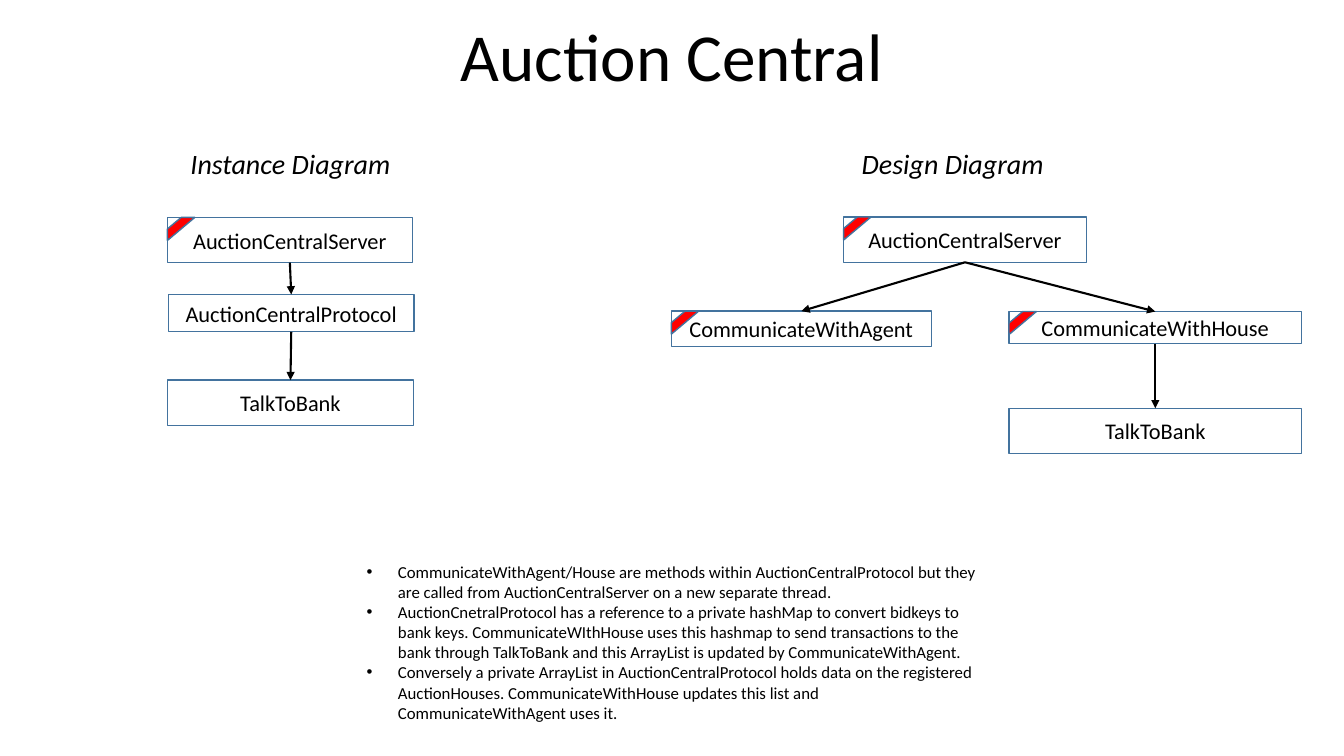
from lxml.etree import SubElement
from pptx import Presentation
from pptx.dml.color import RGBColor
from pptx.enum.shapes import MSO_CONNECTOR, MSO_SHAPE
from pptx.enum.text import MSO_ANCHOR as Anchor, MSO_AUTO_SIZE as AutoSize, PP_ALIGN as Align
from pptx.oxml.ns import qn
from pptx.util import Cm, Pt

BLACK, BLUE, RED = "000000", "43739E", "FF0000"
BOTTOM, TOP = 2, 0
NOTES = [
    "CommunicateWithAgent/House are methods within AuctionCentralProtocol but they are called "
    "from AuctionCentralServer on a new separate thread.",
    "AuctionCnetralProtocol has a reference to a private hashMap to convert bidkeys to bank keys. "
    "CommunicateWIthHouse uses this hashmap to send transactions to the bank through TalkToBank "
    "and this ArrayList is updated by CommunicateWithAgent.",
    "Conversely a private ArrayList in AuctionCentralProtocol holds data on the registered "
    "AuctionHouses. CommunicateWithHouse updates this list and CommunicateWithAgent uses it.",
]
INSTANCE = {
    "heading": ("Instance Diagram", 0),
    "boxes": {
        "server": ("AuctionCentralServer", 0, 1.92, 6.17, 1.14, True),
        "protocol": ("AuctionCentralProtocol", 0.02, 3.86, 6.2, 0.94, False),
        "bank": ("TalkToBank", 0, 6.02, 6.2, 1.14, False),
    },
    "arrows": [("server", "protocol"), ("protocol", "bank")],
}
DESIGN = {
    "heading": ("Design Diagram", 3.99),
    "boxes": {
        "server": ("AuctionCentralServer", 4.34, 1.91, 6.12, 1.14, True),
        "agent": ("CommunicateWithAgent", 0, 4.28, 6.55, 0.89, True),
        "house": ("CommunicateWithHouse", 8.51, 4.29, 7.37, 0.81, True),
        "bank": ("TalkToBank", 8.51, 6.73, 7.37, 1.14, False),
    },
    "arrows": [("server", "agent"), ("server", "house"), ("house", "bank")],
}


def colour(value):
    return RGBColor.from_string(value)


def apply(target, values):
    for name, value in values.items():
        setattr(target, name, value)


def write(frame, texts, size, align, italic=False, **frame_format):
    apply(frame, {"word_wrap": True, "auto_size": AutoSize.NONE, **frame_format})
    for index, text in enumerate(texts):
        paragraph = frame.add_paragraph() if index else frame.paragraphs[0]
        paragraph.alignment = align
        run = paragraph.add_run()
        run.text = text
        apply(run.font, {"name": "Calibri", "size": Pt(size), "italic": italic})
        run.font.color.rgb = colour(BLACK)


def add_preset(slide, kind, left, top, width, height, fill=None):
    shape = slide.shapes.add_shape(kind, Cm(left), Cm(top), Cm(width), Cm(height))
    shape.shadow.inherit = False
    if fill:
        shape.fill.solid()
        shape.fill.fore_color.rgb = colour(fill)
    else:
        shape.fill.background()
    shape.line.color.rgb = colour(BLUE)
    shape.line.width = Pt(1)
    return shape


def add_arrow(slide, source, target):
    connector = slide.shapes.add_connector(MSO_CONNECTOR.STRAIGHT, 0, 0, 0, 0)
    connector.begin_connect(source, BOTTOM)
    connector.end_connect(target, TOP)
    connector.line.color.rgb = colour(BLACK)
    connector.line.width = Pt(1.5)
    properties = connector.element.spPr
    SubElement(properties.find(qn("a:ln")), qn("a:tailEnd"), type="triangle")
    SubElement(properties, qn("a:effectLst"))


def add_title(slide, left, top, width, height):
    title = slide.shapes.title
    apply(title, {"left": Cm(left), "top": Cm(top), "width": Cm(width), "height": Cm(height)})
    write(title.text_frame, ["Auction Central"], 48, Align.CENTER, vertical_anchor=Anchor.BOTTOM)
    title.text_frame.paragraphs[0].line_spacing = 0.9


def add_diagram(slide, left, top, diagram):
    heading, offset = diagram["heading"]
    label = slide.shapes.add_textbox(Cm(left + offset), Cm(top), Cm(6.2), Cm(1.11))
    write(label.text_frame, [heading], 20, Align.CENTER, italic=True)
    boxes = {}
    for key, (text, x, y, width, height, striped) in diagram["boxes"].items():
        box = add_preset(slide, MSO_SHAPE.RECTANGLE, left + x, top + y, width, height)
        write(box.text_frame, [text], 16, Align.CENTER, vertical_anchor=Anchor.MIDDLE)
        boxes[key] = box
        if striped:
            add_preset(slide, MSO_SHAPE.DIAGONAL_STRIPE, left + x, top + y, 0.69, 0.58, RED)
    for source, target in diagram["arrows"]:
        add_arrow(slide, boxes[source], boxes[target])


def add_notes_list(slide, left, top, width, height):
    box = slide.shapes.add_textbox(Cm(left), Cm(top), Cm(width), Cm(height))
    write(box.text_frame, NOTES, 12, Align.LEFT)
    for paragraph in box.text_frame.paragraphs:
        properties = paragraph._p.get_or_add_pPr()
        properties.set("marL", str(Cm(0.79)))
        properties.set("indent", str(-Cm(0.79)))
        SubElement(properties, qn("a:buFont"), typeface="Arial")
        SubElement(properties, qn("a:buChar"), char="•")


presentation = Presentation()
apply(presentation, {"slide_width": Cm(33.87), "slide_height": Cm(19.05)})
slide = presentation.slides.add_slide(presentation.slide_layouts[5])
add_title(slide, 4.23, 0.69, 25.4, 1.85)
add_diagram(slide, 4.22, 3.56, INSTANCE)
add_diagram(slide, 16.92, 3.56, DESIGN)
add_notes_list(slide, 8.99, 14.02, 15.88, 4.37)
presentation.save("out.pptx")
